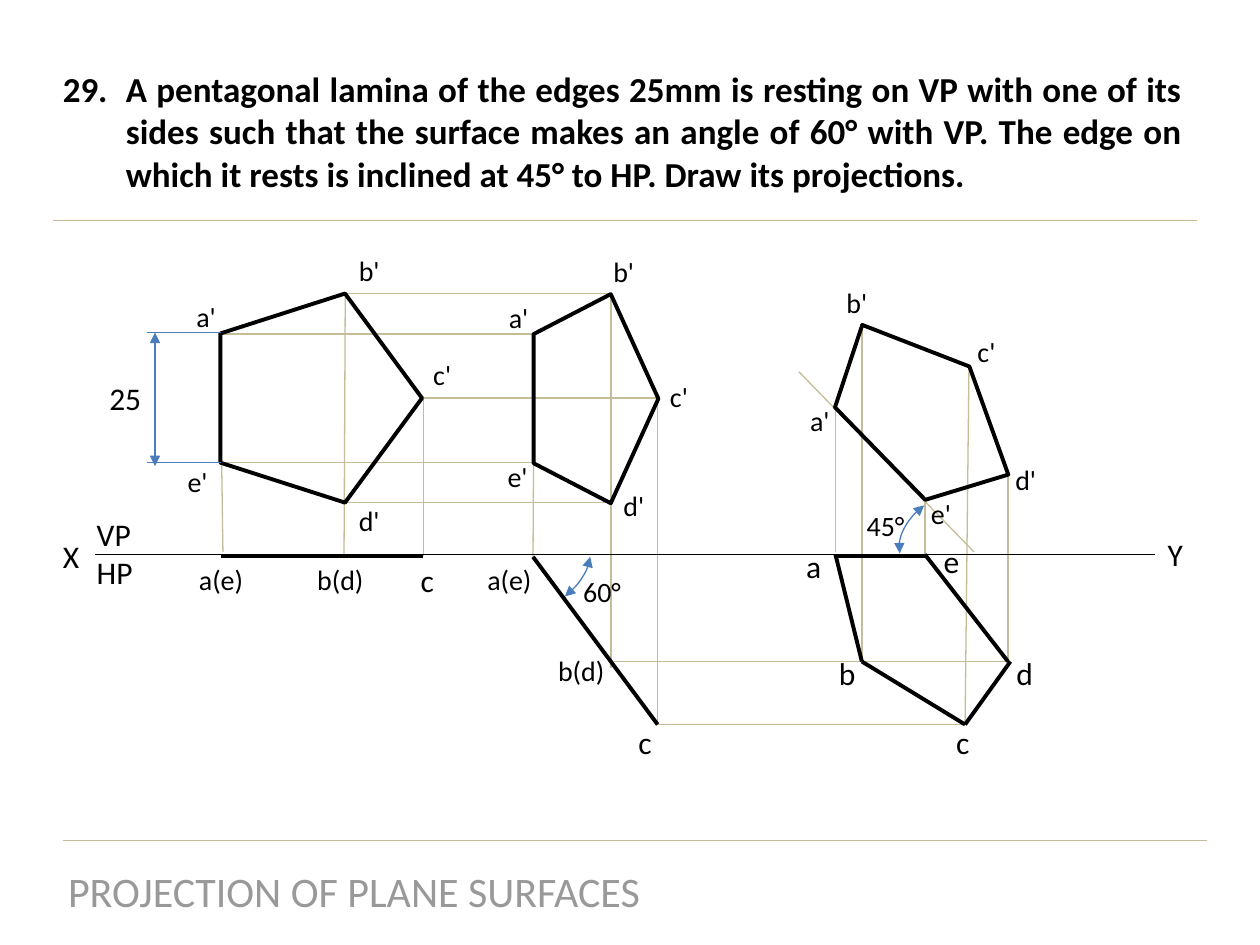
from lxml.etree import SubElement
from pptx import Presentation
from pptx.dml.color import RGBColor
from pptx.enum.shapes import MSO_CONNECTOR, MSO_SHAPE
from pptx.enum.text import PP_ALIGN
from pptx.oxml.ns import qn
from pptx.util import Pt

COLORS = {"black": "000000", "guide": "C4BD97", "dimension": "4A7DBB", "footer": "999999"}

deck = Presentation()
deck.slide_width = Pt(720)
deck.slide_height = Pt(540)
page = deck.slides.add_slide(deck.slide_layouts[6])


def add_line(shapes, ends, color, width=0.75, arrows=False):
    line = shapes.add_connector(MSO_CONNECTOR.STRAIGHT, *[Pt(value) for value in ends])
    line.line.color.rgb = RGBColor.from_string(COLORS[color])
    line.line.width = Pt(width)
    if arrows:
        for tag in ("a:headEnd", "a:tailEnd"):
            SubElement(line.line._get_or_add_ln(), qn(tag), type="triangle")
    SubElement(line._element.spPr, qn("a:effectLst"))


def add_text(text, left, top, width, height, size, color="black", wrap=False):
    box = page.shapes.add_textbox(Pt(left), Pt(top), Pt(width), Pt(height))
    box.text_frame.word_wrap = wrap
    box.text_frame.text = text
    for para in box.text_frame.paragraphs:
        for span in para.runs:
            span.font.name = "Calibri"
            span.font.size = Pt(size)
            span.font.color.rgb = RGBColor.from_string(COLORS[color])
    return box.text_frame.paragraphs[0]


problem = add_text(
    "A pentagonal lamina of the edges 25mm is resting on VP with one of its sides "
    "such that the surface makes an angle of 60° with VP. The edge on which it rests "
    "is inclined at 45° to HP. Draw its projections.",
    28.8, 35.3, 653.8, 79.9, 20, wrap=True)
problem.alignment = PP_ALIGN.JUSTIFY
problem.runs[0].font.bold = True
properties = problem._p.get_or_add_pPr()
properties.set("marL", str(Pt(36)))
properties.set("indent", str(Pt(-36)))
bullet_color = SubElement(properties, qn("a:buClr"))
SubElement(bullet_color, qn("a:srgbClr"), val=COLORS["black"])
SubElement(properties, qn("a:buFont"), typeface="Calibri")
SubElement(properties, qn("a:buAutoNum"), type="arabicPeriod", startAt="29")

footer = add_text("PROJECTION OF PLANE SURFACES", 30.2, 491, 344.2, 36, 24, "footer", True)
footer.alignment = PP_ALIGN.CENTER

guides = [
    (689.8, 480.2, 36, 480.2),
    (684, 126, 30.2, 126),
    (492.5, 378, 492.5, 185.8),
    (127.4, 315.4, 126.7, 265),
    (241.9, 227.5, 375.8, 227.5),
    (126, 264.2, 305.3, 264.2),
    (197.3, 167.8, 349.2, 167.8),
    (126, 190.8, 305.3, 190.8),
    (198, 287.3, 349.2, 287.3),
    (375.8, 414, 375.8, 227.5),
    (241.9, 317.5, 241.9, 228.2),
    (196.6, 319, 197.3, 167.8),
    (304.6, 318.2, 305.3, 190.8),
    (349.2, 381.6, 349.2, 167.8),
    (556.6, 315.4, 456.5, 212.4),
    (477.4, 315.4, 477.4, 233.3),
    (551.5, 414, 553.7, 209.5),
    (576, 378, 576, 271.4),
    (528.5, 319, 528.5, 285.8),
    (375.1, 414, 551.5, 414),
    (350.6, 378, 576, 378),
]
for ends in guides:
    add_line(page.shapes, ends, "guide")
add_line(page.shapes, (660.2, 316.8, 54, 316.8), "black")

top_view_edges = [
    (241.9, 317.5, 126, 317.5),
    (375.8, 414, 304.6, 318.2),
    (528.5, 317.5, 477.4, 317.5),
    (492.5, 378, 477.4, 316.8),
    (576, 378, 528.5, 316.8),
    (551.5, 414, 492.5, 378),
    (551.5, 414, 577.4, 378),
]
for ends in top_view_edges:
    add_line(page.shapes, ends, "black", 2.25)

pentagons = [
    (123.8, 169.9, 115.2, 90),
    (280.8, 192.2, 71.3, 90),
    (468.7, 198.7, 71.3, 45.7),
]
for left, top, height, rotation in pentagons:
    pentagon = page.shapes.add_shape(
        MSO_SHAPE.REGULAR_PENTAGON, Pt(left), Pt(top), Pt(119.5), Pt(height))
    pentagon.rotation = rotation
    pentagon.shadow.inherit = False
    pentagon.fill.background()
    pentagon.line.color.rgb = RGBColor.from_string(COLORS["black"])
    pentagon.line.width = Pt(2.25)

dimension = page.shapes.add_group_shape()
add_line(dimension.shapes, (88.6, 190.1, 88.6, 266.4), "dimension", arrows=True)
for level in (190.1, 264.2):
    add_line(dimension.shapes, (84.2, level, 126, level), "dimension")

angle_arcs = [
    (293, 296.6, 36.7, 59.8, 51.4, 174.47, 0),
    (522, 272.2, 43.9, 64.8, 240.1, 167.21, 207),
]
for left, top, width, height, rotation, start, end in angle_arcs:
    arc = page.shapes.add_shape(MSO_SHAPE.ARC, Pt(left), Pt(top), Pt(width), Pt(height))
    arc.rotation = rotation
    arc.adjustments[0] = start
    arc.adjustments[1] = end
    arc.shadow.inherit = False
    arc.fill.background()
    arc.line.color.rgb = RGBColor.from_string(COLORS["dimension"])
    arc.line.width = Pt(0.75)
    for tag in ("a:headEnd", "a:tailEnd"):
        SubElement(arc.line._get_or_add_ln(), qn(tag), type="triangle")

small_labels = [
    ("a'", 105.1, 167.8), ("b'", 198, 141.1), ("c'", 240.5, 200.9),
    ("d'", 198, 284.4), ("e'", 100.1, 262.1),
    ("a'", 283.7, 168.5), ("b'", 343.4, 141.8), ("c'", 375.8, 213.1),
    ("d'", 349.2, 275.8), ("e'", 283, 259.2),
    ("a'", 455.8, 226.8), ("b'", 476.6, 159.8), ("c'", 551.5, 187.9),
    ("d'", 573.1, 260.6), ("e'", 524.9, 280.1),
    ("a(e)", 106.6, 318.2), ("b(d)", 174.2, 318.2),
    ("a(e)", 271.4, 318.2), ("b(d)", 311.8, 370.1),
    ("60°", 326.2, 324.7), ("45°", 488.2, 287.3),
]
for text, left, top in small_labels:
    add_text(text, left, top, 26.2 if len(text) == 2 else 41, 26.6, 16)

large_labels = [
    ("X", 28.8, 303.1), ("Y", 660.2, 302.4), ("25", 55.4, 213.1),
    ("c", 233.3, 316.8), ("c", 357.8, 409.7),
    ("a", 453.6, 308.9), ("b", 472.3, 370.1), ("c", 539.3, 409.7),
    ("d", 573.8, 370.1), ("e", 532.1, 306),
]
for text, left, top in large_labels:
    add_text(text, left, top, 33.1 if len(text) == 2 else 24.5, 28.8, 18)
add_text("VP\nHP", 48.2, 290.9, 35.3, 51.1, 18)

deck.save("out.pptx")
